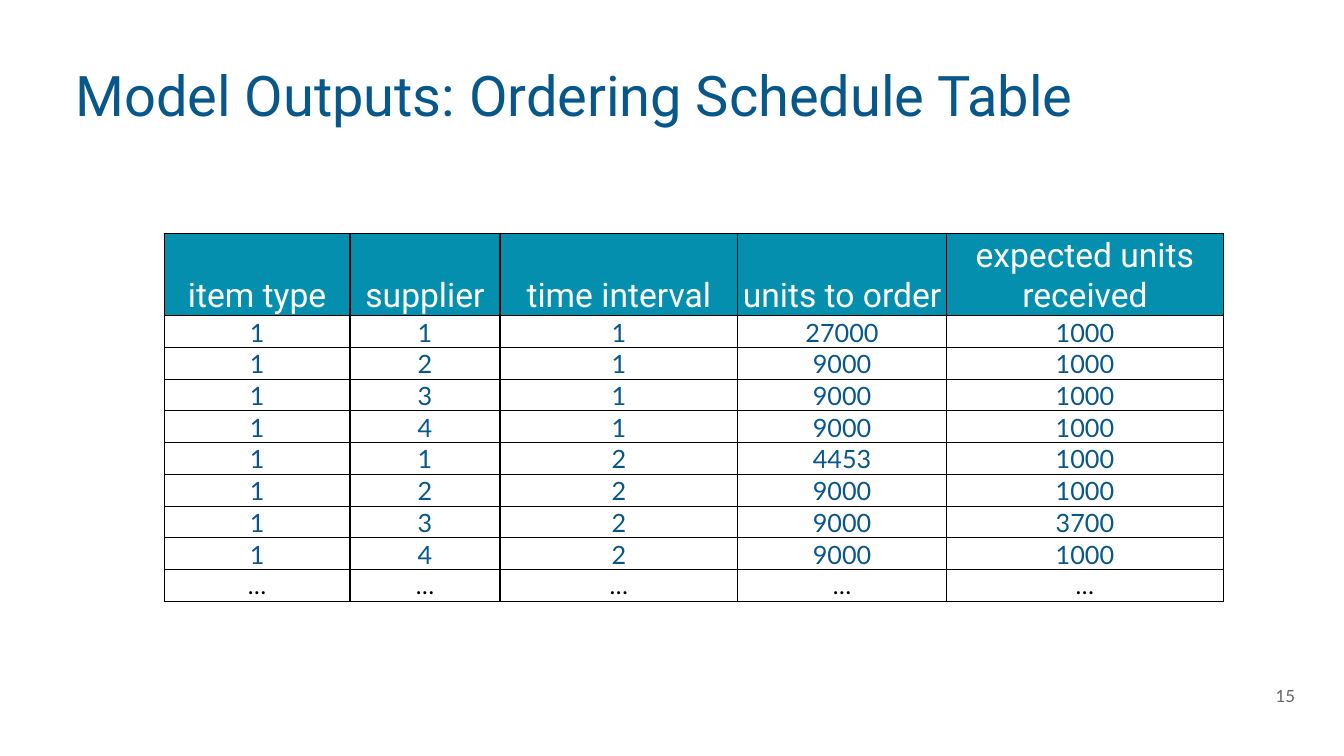
from dataclasses import dataclass
from typing import Any

from lxml import etree
from pptx import Presentation
from pptx.dml.color import RGBColor
from pptx.enum import text
from pptx.oxml import ns
from pptx.util import Cm, Pt


@dataclass(frozen=True)
class Style:
    font: str
    size: int
    color: str


@dataclass(frozen=True)
class Theme:
    title: Style = Style("Roboto", 40, "08578B")
    header: Style = Style("Roboto", 24, "FFFFFF")
    body: Style = Style("Lato", 18, "08578B")
    more: Style = Style("Calibri", 18, "000000")
    number: Style = Style("Lato", 12, "666666")
    header_fill: str = "058FAF"
    border: str = "000000"
    border_width: float = 1


@dataclass(frozen=True)
class Label:
    words: str
    box: tuple[float, float, float, float]
    style: Style
    frame: dict[str, Any]
    para: dict[str, Any]


THEME = Theme()
LABELS = [
    Label(
        "Model Outputs: Ordering Schedule Table", (1.9, 1.6, 30.05, 2.79), THEME.title,
        {"word_wrap": True, "margin_left": 0, "margin_right": 0},
        {"line_spacing": 0.9},
    ),
    Label(
        "15", (31.95, 17.15, 0.94, 0.76), THEME.number,
        {"word_wrap": False, "margin_left": 0, "vertical_anchor": text.MSO_ANCHOR.MIDDLE,
         "auto_size": text.MSO_AUTO_SIZE.NONE},
        {"alignment": text.PP_ALIGN.RIGHT},
    ),
]

TABLE_LEFT, TABLE_TOP = 4.14, 5.89
COLUMN_WIDTHS = [4.68, 3.78, 5.99, 5.26, 6.98]
HEADER_HEIGHT, ROW_HEIGHT = 2.02, 0.8
HEADERS = ["item type", "supplier", "time interval", "units to order", "expected units received"]
ORDERS = [
    (1, 1, 1, 27000, 1000),
    (1, 2, 1, 9000, 1000),
    (1, 3, 1, 9000, 1000),
    (1, 4, 1, 9000, 1000),
    (1, 1, 2, 4453, 1000),
    (1, 2, 2, 9000, 1000),
    (1, 3, 2, 9000, 3700),
    (1, 4, 2, 9000, 1000),
]
CELL_FORMAT = {
    "margin_left": Cm(0.03), "margin_right": Cm(0.03), "margin_top": Cm(0.03),
    "margin_bottom": 0, "vertical_anchor": text.MSO_ANCHOR.BOTTOM,
}


def set_attributes(target: Any, values: dict[str, Any]) -> None:
    for name, value in values.items():
        setattr(target, name, value)


def write(p: Any, words: str, style: Style) -> None:
    r = p.add_run()
    r.text = words
    set_attributes(r.font, {"name": style.font, "size": Pt(style.size)})
    r.font.color.rgb = RGBColor.from_string(style.color)


def add_label(s: Any, label: Label) -> None:
    tf = s.shapes.add_textbox(*map(Cm, label.box)).text_frame
    set_attributes(tf, label.frame)
    p = tf.paragraphs[0]
    set_attributes(p, label.para)
    write(p, label.words, label.style)


def add_borders(cell: Any) -> None:
    tc_pr = cell._tc.get_or_add_tcPr()
    for side in ("lnL", "lnR", "lnT", "lnB"):
        ln = etree.SubElement(tc_pr, ns.qn(f"a:{side}"), w=str(Pt(THEME.border_width)))
        fill = etree.SubElement(ln, ns.qn("a:solidFill"))
        etree.SubElement(fill, ns.qn("a:srgbClr"), val=THEME.border)


def fill_cell(cell: Any, words: str, style: Style, fill: str | None) -> None:
    set_attributes(cell, CELL_FORMAT)
    add_borders(cell)
    if fill:
        cell.fill.solid()
        cell.fill.fore_color.rgb = RGBColor.from_string(fill)
    else:
        cell.fill.background()
    p = cell.text_frame.paragraphs[0]
    p.alignment = text.PP_ALIGN.CENTER
    write(p, words, style)


def add_schedule(s: Any) -> None:
    rows = [(HEADERS, THEME.header, THEME.header_fill, HEADER_HEIGHT)]
    rows += [(order, THEME.body, None, ROW_HEIGHT) for order in ORDERS]
    rows.append((["…"] * len(HEADERS), THEME.more, None, ROW_HEIGHT))
    size = (sum(COLUMN_WIDTHS), sum(row[-1] for row in rows))
    table = s.shapes.add_table(
        len(rows), len(HEADERS), *map(Cm, (TABLE_LEFT, TABLE_TOP, *size))
    ).table
    set_attributes(table, {"first_row": False, "horz_banding": False})
    for column, width in zip(table.columns, COLUMN_WIDTHS):
        column.width = Cm(width)
    for row, (values, style, fill, height) in zip(table.rows, rows):
        row.height = Cm(height)
        for cell, value in zip(row.cells, values):
            fill_cell(cell, str(value), style, fill)


def main() -> None:
    prs = Presentation()
    set_attributes(prs, {"slide_width": Cm(33.87), "slide_height": Cm(19.05)})
    s = prs.slides.add_slide(prs.slide_layouts[6])
    for label in LABELS:
        add_label(s, label)
    add_schedule(s)
    prs.save("out.pptx")


if __name__ == "__main__":
    main()
